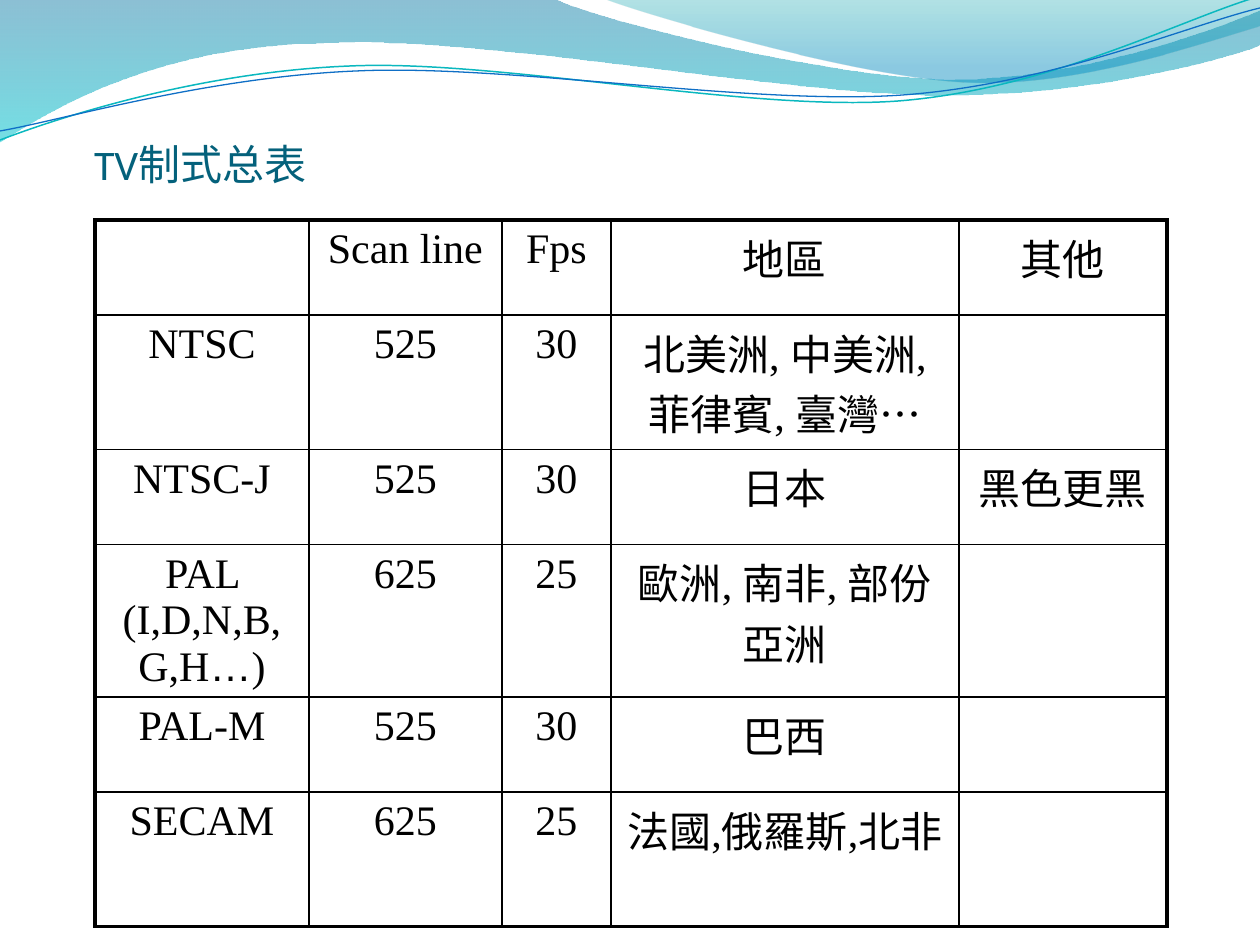
from lxml import etree
from pptx import Presentation
from pptx import util as u
from pptx.dml import color
from pptx.enum import lang, text
from pptx.oxml import ns

SCALE = 914400 / 126
TABLE_FONT = "Times New Roman"
ELLIPSIS = "…"
THIN, THICK = 1, 2.25

COLUMN_WIDTHS = [214, 193, 109, 348, 208]
ROW_HEIGHT = 95
ROWS = [
    ["", "Scan line", "Fps", "地區", "其他"],
    ["NTSC", "525", "30", "北美洲, 中美洲, 菲律賓, 臺灣…", ""],
    ["NTSC-J", "525", "30", "日本", "黑色更黑"],
    ["PAL (I,D,N,B,G,H…)", "625", "25", "歐洲, 南非, 部份亞洲", ""],
    ["PAL-M", "525", "30", "巴西", ""],
    ["SECAM", "625", "25", "法國,俄羅斯,北非", ""],
]

WIDE_BAND = [
    [(0, 0)],
    [(554, -1)],
    [(600, 21), (837, 79), (955, 79)],
    [(1075, 79), (1207, 33), (1260, 11)],
    [(1261, 45)],
    [(1239, 55), (1096, 96), (940, 95)],
    [(784, 95), (481, 35), (324, 43)],
    [(163, 45), (58, 105), (-1, 142)],
    [(0, 0)],
]
CORNER_BAND = [
    [(604, -1)],
    [(641, 14), (859, 78), (969, 82)],
    [(1079, 87), (1211, 40), (1260, 26)],
    [(1260, 0)],
    [(604, -1)],
]
TEAL_WAVE = [
    [(0, 140)],
    [(60, 117), (199, 72), (349, 66)],
    [(498, 59), (747, 112), (898, 101)],
    [(1050, 89), (1182, 19), (1257, -3)],
]
BLUE_WAVE = [
    [(0, 131)],
    [(59, 121), (207, 77), (357, 71)],
    [(508, 64), (752, 106), (903, 95)],
    [(1053, 84), (1186, 26), (1260, 8)],
]


def px(value):
    return u.Emu(round(value * SCALE))


def paint(target, value):
    target.rgb = color.RGBColor.from_string(value)


def child(parent, tag, **attributes):
    return etree.SubElement(parent, ns.qn(tag), attributes)


def bend_segments(shape, segments):
    ends = [segment[-1] for segment in segments]
    left, top = (min(values) for values in zip(*ends))
    lines = list(shape._element.iter(ns.qn("a:lnTo")))
    for line, segment in zip(lines, segments[1:]):
        if len(segment) == 3:
            line.tag = ns.qn("a:cubicBezTo")
            for point in list(line):
                line.remove(point)
            for x, y in segment:
                child(line, "a:pt", x=str(x - left), y=str(y - top))


def add_outline(page, segments, close):
    ends = [segment[-1] for segment in segments]
    builder = page.shapes.build_freeform(*ends[0], scale=SCALE)
    builder.add_line_segments(ends[1:], close=close)
    shape = builder.convert_to_shape()
    bend_segments(shape, segments)
    shape.shadow.inherit = False
    return shape


def add_band(page, segments, stops):
    band = add_outline(page, segments, True)
    band.line.fill.background()
    band.fill.gradient()
    band.fill.gradient_angle = 270
    for stop, (position, value, opacity) in zip(band.fill.gradient_stops, stops):
        stop.position = position
        paint(stop.color, value)
    for tone, (_, _, opacity) in zip(band._element.spPr.iter(ns.qn("a:srgbClr")), stops):
        child(tone, "a:alpha", val=str(opacity * 1000))


def add_wave(page, segments, value, width):
    wave = add_outline(page, segments, False)
    wave.fill.background()
    paint(wave.line.color, value)
    wave.line.width = u.Pt(width)


def format_span(span, font, value):
    span.font.name = font
    span.font.size = u.Pt(24)
    span.font.language_id = lang.MSO_LANGUAGE_ID.ENGLISH_US
    paint(span.font.color, value)


def set_title(page, words):
    title = page.shapes.title
    title.left, title.top, title.width, title.height = px(94), px(84), px(1071), px(105)
    frame = title.text_frame
    frame.text = words
    frame.word_wrap = True
    frame.vertical_anchor = text.MSO_ANCHOR.BOTTOM
    frame.margin_left = frame.margin_right = frame.margin_bottom = 0
    frame.margin_top = u.Inches(0.05)
    para = frame.paragraphs[0]
    para.alignment = text.PP_ALIGN.LEFT
    format_span(para.runs[0], "Calibri", "04617B")


def set_borders(cell, widths):
    properties = cell._tc.get_or_add_tcPr()
    for side, width in zip(("L", "R", "T", "B"), widths):
        border = child(properties, f"a:ln{side}", w=str(u.Pt(width)))
        child(child(border, "a:solidFill"), "a:srgbClr", val="000000")


def fill_cell(cell, words):
    para = cell.text_frame.paragraphs[0]
    para.alignment = text.PP_ALIGN.CENTER
    spacing = child(para._p.get_or_add_pPr(), "a:spcBef")
    child(spacing, "a:spcPct", val="20000")
    for piece in filter(None, words.partition(ELLIPSIS)):
        span = para.add_run()
        span.text = piece
        format_span(span, "Arial" if piece == ELLIPSIS else TABLE_FONT, "000000")


def add_standards_table(page):
    last_row, last_column = len(ROWS) - 1, len(COLUMN_WIDTHS) - 1
    frame = page.shapes.add_table(
        len(ROWS), len(COLUMN_WIDTHS), px(95), px(220),
        px(sum(COLUMN_WIDTHS)), px(ROW_HEIGHT * len(ROWS)),
    )
    table = frame.table
    table.first_row = table.horz_banding = False
    for column, width in zip(table.columns, COLUMN_WIDTHS):
        column.width = px(width)
    for r, row in enumerate(ROWS):
        table.rows[r].height = px(ROW_HEIGHT)
        for c, words in enumerate(row):
            cell = table.cell(r, c)
            outer = (c == 0, c == last_column, r == 0, r == last_row)
            set_borders(cell, [THICK if edge else THIN for edge in outer])
            cell.fill.background()
            fill_cell(cell, words)


def main():
    deck = Presentation()
    deck.slide_width, deck.slide_height = px(1260), px(945)
    page = deck.slides.add_slide(deck.slide_layouts[5])
    add_band(page, WIDE_BAND, [(0, "0074A1", 45), (1, "00C6CF", 55)])
    add_band(page, CORNER_BAND, [(0, "00A1A9", 30), (0.8, "008BBF", 45)])
    add_wave(page, TEAL_WAVE, "0AB8BF", 0.85)
    add_wave(page, BLUE_WAVE, "0F6FC6", 0.75)
    set_title(page, "TV制式总表")
    add_standards_table(page)
    deck.save("out.pptx")


main()
